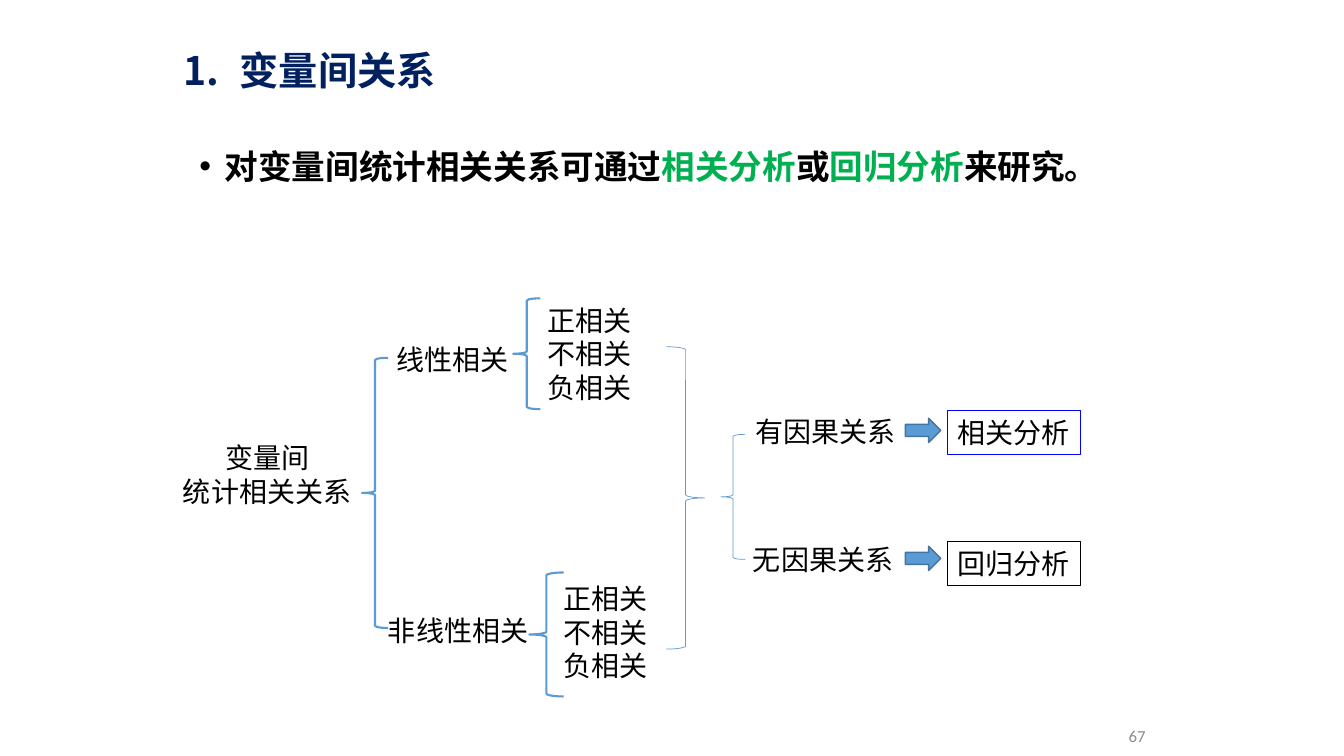
from lxml import etree
from pptx import Presentation
from pptx.dml.color import RGBColor
from pptx.enum.shapes import MSO_SHAPE
from pptx.enum.text import MSO_ANCHOR, MSO_AUTO_SIZE, PP_ALIGN
from pptx.oxml.ns import qn
from pptx.util import Inches, Pt

LEFT_BRACE, RIGHT_BRACE = MSO_SHAPE.LEFT_BRACE, MSO_SHAPE.RIGHT_BRACE
ARROW, RECTANGLE = MSO_SHAPE.RIGHT_ARROW, MSO_SHAPE.RECTANGLE
LEFT, CENTER, RIGHT, JUSTIFY = PP_ALIGN.LEFT, PP_ALIGN.CENTER, PP_ALIGN.RIGHT, PP_ALIGN.JUSTIFY
TOP, MIDDLE = MSO_ANCHOR.TOP, MSO_ANCHOR.MIDDLE
FIT_SHAPE = MSO_AUTO_SIZE.SHAPE_TO_FIT_TEXT
FONT = "Calibri"
BLACK, NAVY, GREEN, GRAY = "000000", "002060", "00B050", "8C8C8C"
BLUE, DARK_BLUE, FRAME_BLUE = "5B9BD5", "43739E", "0000FF"
CORRELATIONS = ["正相关", "不相关", "负相关"]


def color(value):
    """Turn a hex string into a colour."""
    return RGBColor.from_string(value)


def style(paragraph, size, tint=BLACK, bold=False, align=LEFT):
    """Set the font and alignment of a paragraph."""
    paragraph.alignment = align
    font = paragraph.font
    font.name, font.size, font.bold = FONT, Pt(size), bold
    font.color.rgb = color(tint)


def add_marker(paragraph, indent, tag, **attributes):
    """Give a paragraph a hanging bullet or number."""
    properties = paragraph._p.get_or_add_pPr()
    properties.set("marL", str(Inches(indent)))
    properties.set("indent", str(-Inches(indent)))
    etree.SubElement(properties, qn("a:buFont"), typeface="Arial" if tag == "a:buChar" else "+mj-lt")
    etree.SubElement(properties, qn(tag), **attributes)


def add_text_frame(slide, box, wrap=True, anchor=TOP):
    """Add a text box and return its frame."""
    frame = slide.shapes.add_textbox(*map(Inches, box)).text_frame
    frame.word_wrap = wrap
    frame.vertical_anchor = anchor
    return frame


def fill_label(frame, lines, align=LEFT):
    """Write diagram lines into a frame that does not wrap."""
    frame.word_wrap = False
    frame.auto_size = FIT_SHAPE
    for index, line in enumerate(lines):
        paragraph = frame.add_paragraph() if index else frame.paragraphs[0]
        paragraph.text = line
        style(paragraph, 20, align=align)


def add_label(slide, box, lines, align=LEFT):
    """Add a diagram label."""
    fill_label(add_text_frame(slide, box, wrap=False), lines, align)


def add_outline(slide, kind, box, line, width, fill=None):
    """Add a preset shape with a line and an optional fill."""
    shape = slide.shapes.add_shape(kind, *map(Inches, box))
    shape.shadow.inherit = False
    if fill:
        shape.fill.solid()
        shape.fill.fore_color.rgb = color(fill)
    else:
        shape.fill.background()
    shape.line.color.rgb = color(line)
    shape.line.width = Pt(width)
    return shape


def add_title(slide, box):
    """Add the numbered title."""
    paragraph = add_text_frame(slide, box, wrap=False).paragraphs[0]
    add_marker(paragraph, 0.56, "a:buAutoNum", type="arabicPeriod")
    paragraph.add_run().text = "变量间关系"
    style(paragraph, 28, NAVY, True, JUSTIFY)


def add_statement(slide, box):
    """Add the bulleted statement with its highlighted methods."""
    paragraph = add_text_frame(slide, box).paragraphs[0]
    add_marker(paragraph, 0.25, "a:buChar", char="•")
    paragraph.line_spacing = 0.9
    style(paragraph, 24, bold=True)
    parts = ["对变量间统计相关关系可通过", "相关分析", "或", "回归分析", "来研究。"]
    for index, text in enumerate(parts):
        run = paragraph.add_run()
        run.text = text
        run.font.color.rgb = color(GREEN if index % 2 else BLACK)


def add_relation_tree(slide, box):
    """Add the tree of linear and nonlinear relations."""
    left, top, width, height = box
    add_label(slide, (left, top + 1.36, 1.88, 0.77), ["变量间", "统计相关关系"], CENTER)
    add_outline(slide, LEFT_BRACE, (left + 1.88, top + 0.59, 0.26, 2.68), BLUE, 1.5)
    branches = [
        ("线性相关", (2.12, 0.39, 1.32, 0.44), (3.38, 0, 0.27, 1.1), (3.62, 0)),
        ("非线性相关", (2.04, 3.08, 1.6, 0.44), (3.54, 2.72, 0.34, 1.23), (3.78, 2.76)),
    ]
    for name, name_box, brace_box, (list_x, list_y) in branches:
        for_name, for_brace = [(left + x, top + y, w, h) for x, y, w, h in (name_box, brace_box)]
        add_label(slide, for_name, [name])
        add_outline(slide, LEFT_BRACE, for_brace, BLUE, 1.5)
        add_label(slide, (left + list_x, top + list_y, 1.04, 1.11), CORRELATIONS)
    add_outline(slide, RIGHT_BRACE, (left + width - 0.38, top + 0.48, 0.38, 3), BLUE, 0.5)


def add_methods(slide, box):
    """Add the causal cases and the method each leads to."""
    left, top, width, height = box
    add_outline(slide, LEFT_BRACE, (left, top + 0.25, 0.24, 1.24), BLUE, 0.5)
    cases = [
        ("有因果关系", 0.24, 0, "相关分析", 0.01, FRAME_BLUE),
        ("无因果关系", 0.22, 1.27, "回归分析", 1.31, BLACK),
    ]
    for case, case_x, case_y, method, method_y, frame_color in cases:
        add_label(slide, (left + case_x, top + case_y, 1.6, 0.44), [case])
        arrow_box = (left + 1.83, top + case_y + 0.09, 0.35, 0.24)
        add_outline(slide, ARROW, arrow_box, DARK_BLUE, 1, BLUE)
        method_box = (left + width - 1.32, top + method_y, 1.32, 0.44)
        frame = add_outline(slide, RECTANGLE, method_box, frame_color, 0.75).text_frame
        frame.vertical_anchor = TOP
        fill_label(frame, [method])


def add_page_number(slide, box):
    """Add the page number."""
    paragraph = add_text_frame(slide, box, anchor=MIDDLE).paragraphs[0]
    paragraph.text = "67"
    style(paragraph, 12, GRAY, align=RIGHT)


def main():
    """Build and save the slide."""
    presentation = Presentation()
    presentation.slide_width, presentation.slide_height = Inches(13.33), Inches(7.5)
    slide = presentation.slides.add_slide(presentation.slide_layouts[6])
    add_title(slide, (1.72, 0.41, 2.74, 0.57))
    add_statement(slide, (1.88, 1.44, 9.61, 1.26))
    add_relation_tree(slide, (1.71, 2.96, 5.28, 3.95))
    add_methods(slide, (7.15, 4.06, 3.57, 1.75))
    add_page_number(slide, (9.21, 7.1, 2.25, 0.4))
    presentation.save("out.pptx")


if __name__ == "__main__":
    main()
